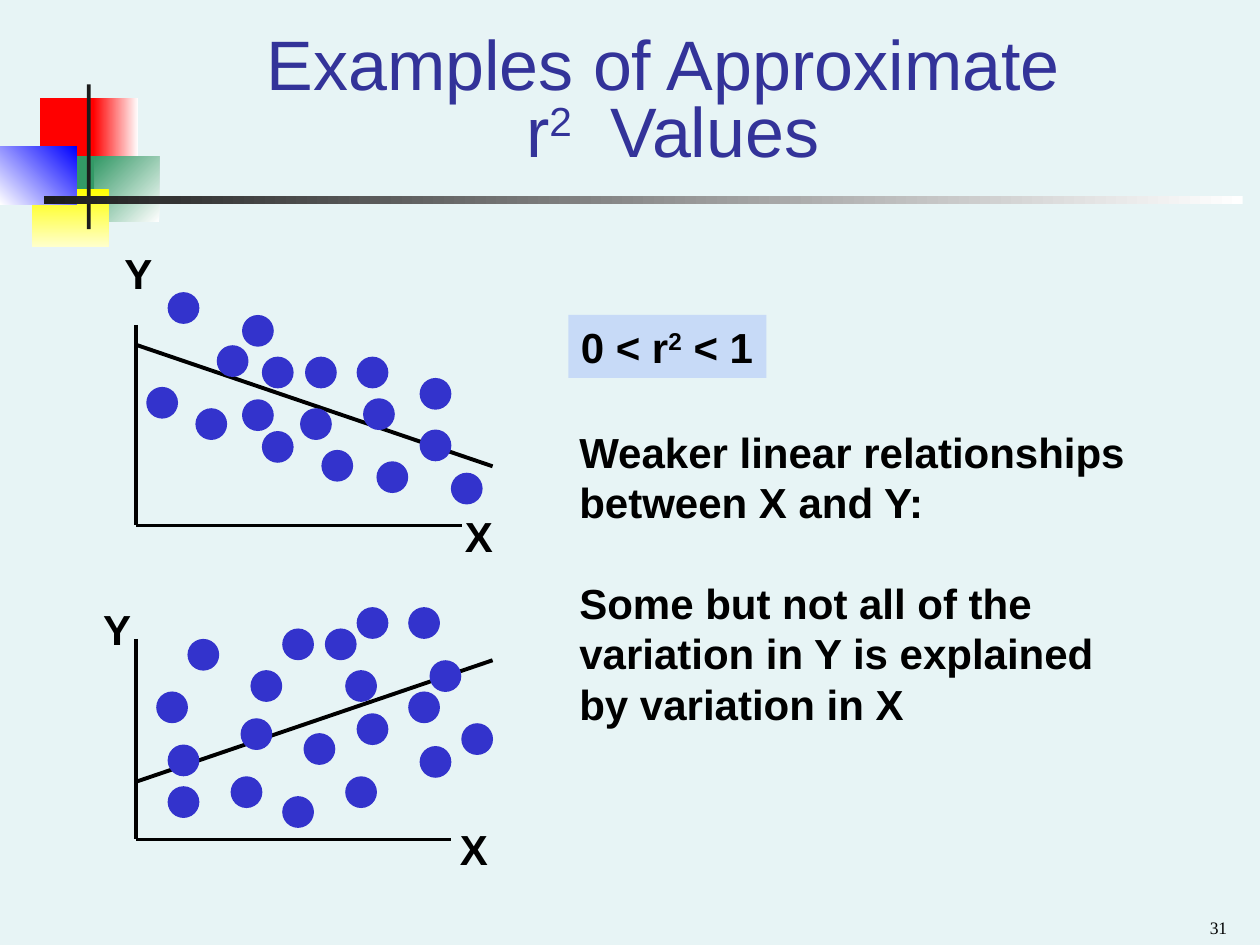
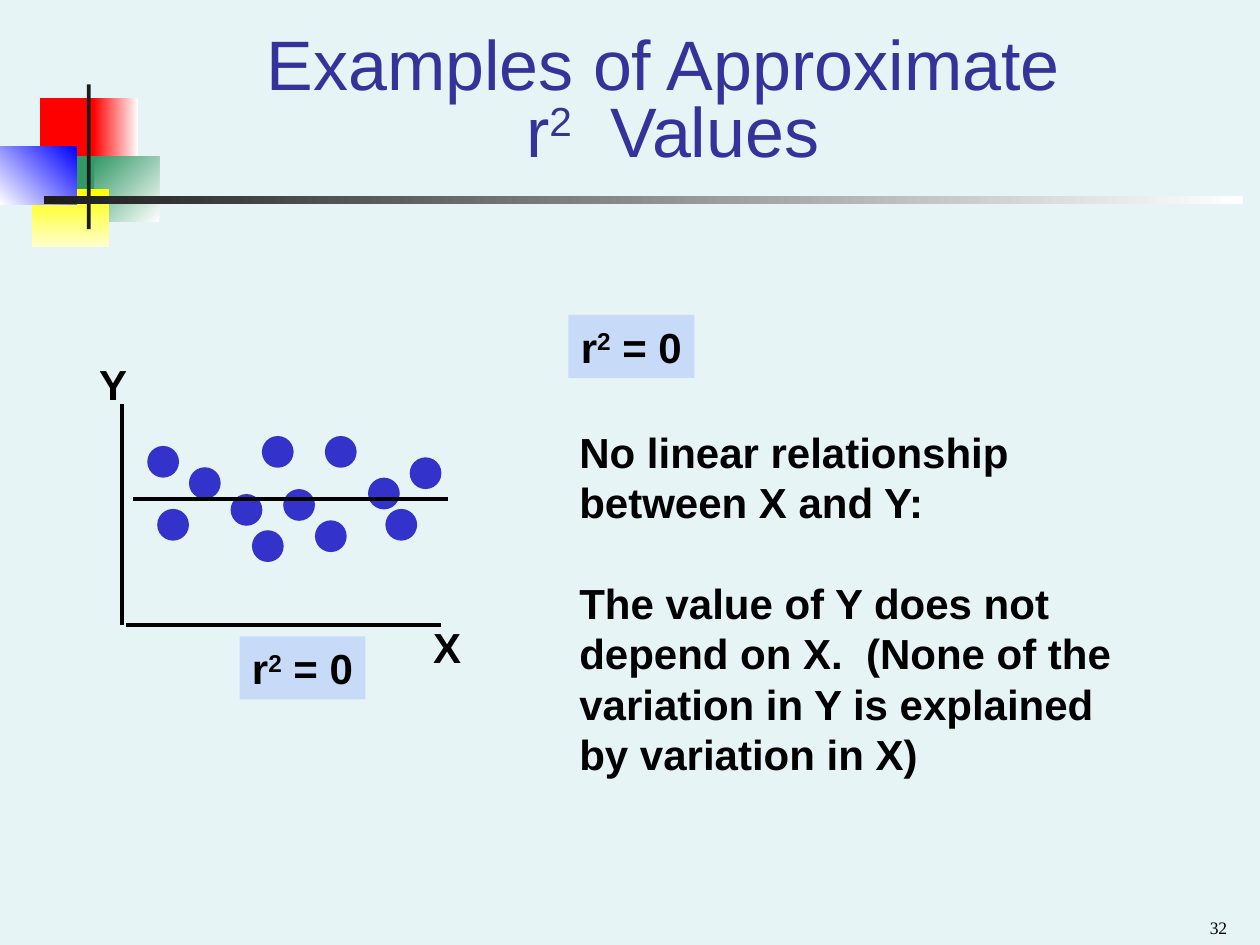
from pptx import Presentation, util as u
from pptx.dml.color import RGBColor
from pptx.enum import shapes, text
from pptx.oxml.ns import qn

INCH = 2.54
DOT = 0.25
LOGO = [
    (0.32, 0.78, 0.48, 0.52, "FF0000"),
    (0.74, 0.78, 0.36, 0.52, ("FFFFFF", "FF0000", 180)),
    (0.75, 1.24, 0.51, 0.52, ("FFFFFF", "339966", 225)),
    (0.43, 1.24, 0.32, 0.52, "339966"),
    (0.25, 1.5, 0.61, 0.46, ("FFFF00", "FFFFCC", 90)),
    (0, 1.16, 0.61, 0.46, ("0000FF", "FFFFFF", 135)),
    (0.69, 0.67, 0.03, 1.15, "1C1C1C"),
    (0.35, 1.56, 9.51, 0.06, ("FFFFFF", "1C1C1C", 180)),
]
FALL = [
    (3.58, 3.75), (3.33, 3.41), (1.33, 2.32), (1.72, 2.74), (2.99, 3.66),
    (1.16, 3.07), (2.55, 3.57), (1.92, 2.5), (2.83, 2.83), (3.33, 3),
    (1.55, 3.24), (2.42, 2.83), (1.92, 3.17), (2.38, 3.24), (2.88, 3.16),
    (2.08, 2.83), (2.08, 3.42),
]
RISE = [
    (1.33, 6.24), (1.33, 5.91), (3.24, 4.82), (3.41, 5.24), (1.83, 6.16),
    (3.24, 5.49), (2.74, 6.16), (2.83, 4.82), (2.24, 4.99), (1.24, 5.49),
    (1.49, 5.07), (1.91, 5.7), (2.83, 5.66), (2.41, 5.82), (2.24, 6.32),
    (3.66, 5.74), (2.74, 5.32), (2.58, 4.99), (1.99, 5.32), (3.33, 5.92),
]
FLAT = [
    (1.25, 4.04), (3.25, 3.63), (2.92, 3.79), (2.5, 4.13), (2.58, 3.46),
    (2.08, 3.46), (1.17, 3.54), (1.5, 3.71), (1.83, 3.92), (2.25, 3.88),
    (2, 4.21), (3.06, 4.04),
]


def rgb(code):
    return RGBColor.from_string(code)


def cm(*sizes):
    return [u.Cm(round(size * INCH, 2)) for size in sizes]


def put(item, vals):
    for name, val in vals.items():
        setattr(item, name, val)


class Deck:
    ink, dot, tint, back, head = "000000", "3333CC", "C7DAF7", "E7F4F5", "333399"
    body = {"name": "Arial", "size": u.Pt(24), "bold": True}
    title = {"name": "Arial", "size": u.Pt(40), "bold": False}
    foot = {"name": "Times New Roman", "size": u.Pt(10), "bold": False}

    def __init__(self):
        self.prs = Presentation()
        put(self.prs, dict(zip(("slide_width", "slide_height"), cm(10, 7.5))))
        self.plan = self.prs.slide_layouts[5]
        master = self.prs.slide_master
        fill = master.background.fill
        fill.solid()
        fill.fore_color.rgb = rgb(self.back)
        for font in master.element.xpath(".//p:titleStyle/a:lvl1pPr/a:defRPr"):
            font.set("sz", "4000")
        self.slide = None

    def page(self, num, heading):
        first = self.slide is None
        self.slide = self.prs.slides.add_slide(self.plan)
        if first:
            self.logo()
        box = self.slide.shapes.title
        put(box, dict(zip(("left", "top", "width", "height"), cm(1.08, 0.33, 8.52, 1.08))))
        self.frame(box, anchor=text.MSO_ANCHOR.BOTTOM)
        self.words(box, [heading], self.title, self.head,
                   alignment=text.PP_ALIGN.CENTER, line_spacing=0.8)
        foot = self.slide.shapes.add_textbox(*cm(7.5, 7.15, 2.33, 0.35))
        self.frame(foot, anchor=text.MSO_ANCHOR.BOTTOM)
        self.words(foot, [str(num)], self.foot, self.ink, alignment=text.PP_ALIGN.RIGHT)

    def logo(self):
        group = self.slide.shapes.add_group_shape()
        for *place, paint in LOGO:
            self.shape(place, paint, pool=group.shapes)
        for num, item in enumerate(group.element.iter(qn("p:cNvPr")), 20):
            item.set("id", str(num))
        self.plan.shapes.element.insert(2, group.element)

    def shape(self, place, paint, kind=shapes.MSO_SHAPE.RECTANGLE, pool=None):
        pool = self.slide.shapes if pool is None else pool
        item = pool.add_shape(kind, *cm(*place))
        item.shadow.inherit = False
        item.line.fill.background()
        if isinstance(paint, str):
            item.fill.solid()
            item.fill.fore_color.rgb = rgb(paint)
        else:
            *tones, angle = paint
            item.fill.gradient()
            item.fill.gradient_angle = 360 - angle
            for stop, tone in zip(item.fill.gradient_stops, tones):
                stop.color.rgb = rgb(tone)
        return item

    def frame(self, box, side=0.09, wrap=True, anchor=text.MSO_ANCHOR.TOP,
              fit=text.MSO_AUTO_SIZE.NONE):
        edges = zip(("margin_left", "margin_top", "margin_right", "margin_bottom"),
                    cm(side, 0.05, side, 0.05))
        put(box.text_frame, {"word_wrap": wrap, "vertical_anchor": anchor,
                             "auto_size": fit, **dict(edges)})

    def words(self, box, paras, font, tone, gap=0, **form):
        for num, para in enumerate(paras):
            body = box.text_frame
            par = body.add_paragraph() if num else body.paragraphs[0]
            put(par, {"space_before": u.Pt(gap if num else 0), **form})
            for row, line in enumerate(para.split("\n")):
                if row:
                    par.add_line_break()
                for part, piece in enumerate(line.split("^")):
                    if not piece:
                        continue
                    run = par.add_run()
                    run.text = piece
                    put(run.font, font)
                    run.font.color.rgb = rgb(tone)
                    if part % 2:
                        run._r.get_or_add_rPr().set("baseline", "30000")

    def note(self, place, *paras, wrap=True):
        box = self.slide.shapes.add_textbox(*cm(*place))
        self.frame(box, 0.1, wrap, fit=text.MSO_AUTO_SIZE.SHAPE_TO_FIT_TEXT)
        self.words(box, paras, self.body, self.ink, gap=28.8)

    def tag(self, left, top, width, label):
        box = self.shape((left, top, width, 0.5), self.tint)
        self.frame(box, 0.1, False, fit=text.MSO_AUTO_SIZE.SHAPE_TO_FIT_TEXT)
        self.words(box, [label], self.body, self.ink, alignment=text.PP_ALIGN.LEFT)

    def line(self, *ends, width=2):
        item = self.slide.shapes.add_connector(shapes.MSO_CONNECTOR.STRAIGHT, *cm(*ends))
        item.line.width = u.Pt(width)
        item.line.color.rgb = rgb(self.ink)
        props = item.element.spPr
        props.append(props.makeelement(qn("a:effectLst"), {}))

    def axes(self, up, along, ylab, xlab):
        self.line(*up)
        self.line(*along)
        for name, spot in (("Y", ylab), ("X", xlab)):
            self.note((*spot, 0.42, 0.5), name, wrap=False)

    def dots(self, spots):
        for spot in spots:
            self.shape((*spot, DOT, DOT), self.dot, shapes.MSO_SHAPE.OVAL)


def main():
    deck = Deck()
    head = "Examples of Approximate \nr^2^  Values"

    deck.page(31, head)
    deck.axes((1.08, 2.58, 1.08, 4.17), (1.08, 4.17, 3.67, 4.17), (0.89, 1.91), (3.59, 4))
    deck.line(1.09, 2.74, 3.91, 3.7, width=2.25)
    deck.dots(FALL)
    deck.axes((1.08, 5.07, 1.08, 6.66), (1.08, 6.66, 3.58, 6.66), (0.72, 4.74), (3.55, 6.49))
    deck.line(1.09, 6.2, 3.91, 5.24, width=2.25)
    deck.dots(RISE)
    deck.tag(4.51, 2.5, 1.57, "0 < r^2^ < 1")
    deck.note((4.5, 3.33, 4.58, 2.5),
              "Weaker linear relationships between X and Y:",
              "Some but not all of the variation in Y is explained by variation in X")

    deck.page(32, head)
    deck.tag(4.51, 2.5, 1, "r^2^ = 0")
    deck.note((4.5, 3.33, 4.58, 2.9),
              "No linear relationship between X and Y:",
              "The value of Y does not depend on X.  "
              "(None of the variation in Y is explained by variation in X)")
    deck.axes((0.97, 3.21, 0.97, 4.96), (1, 4.96, 3.5, 4.96), (0.69, 2.79), (3.34, 4.88))
    deck.dots(FLAT)
    deck.line(1.06, 3.96, 3.56, 3.96)
    deck.tag(1.9, 5.05, 1, "r^2^ = 0")

    deck.prs.save("out.pptx")


if __name__ == "__main__":
    main()
